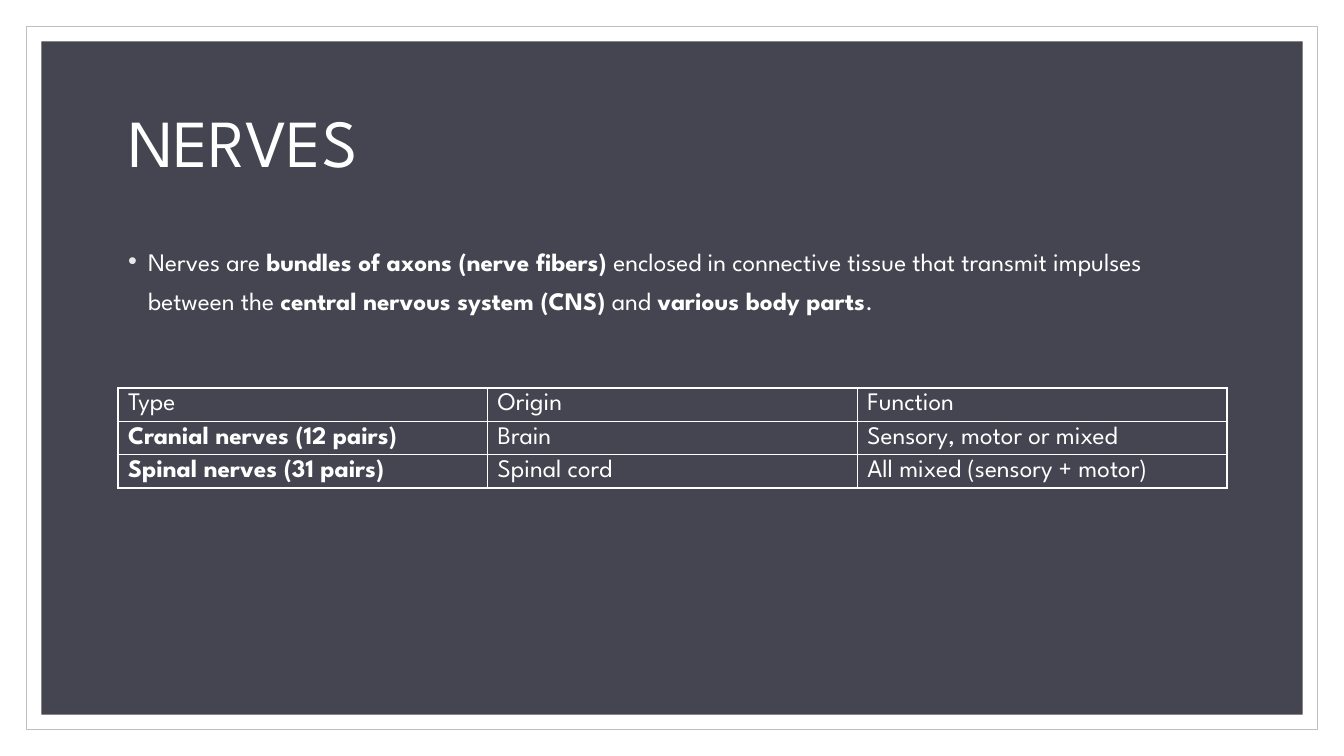
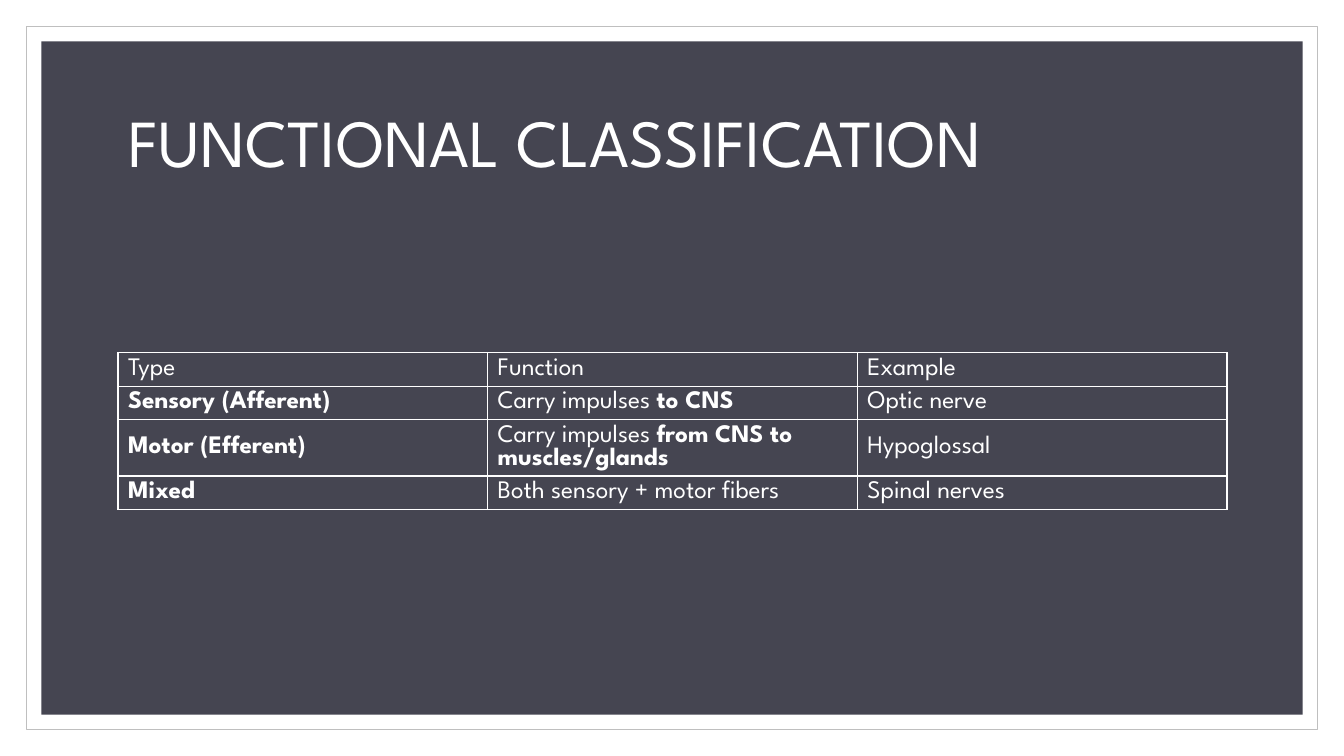
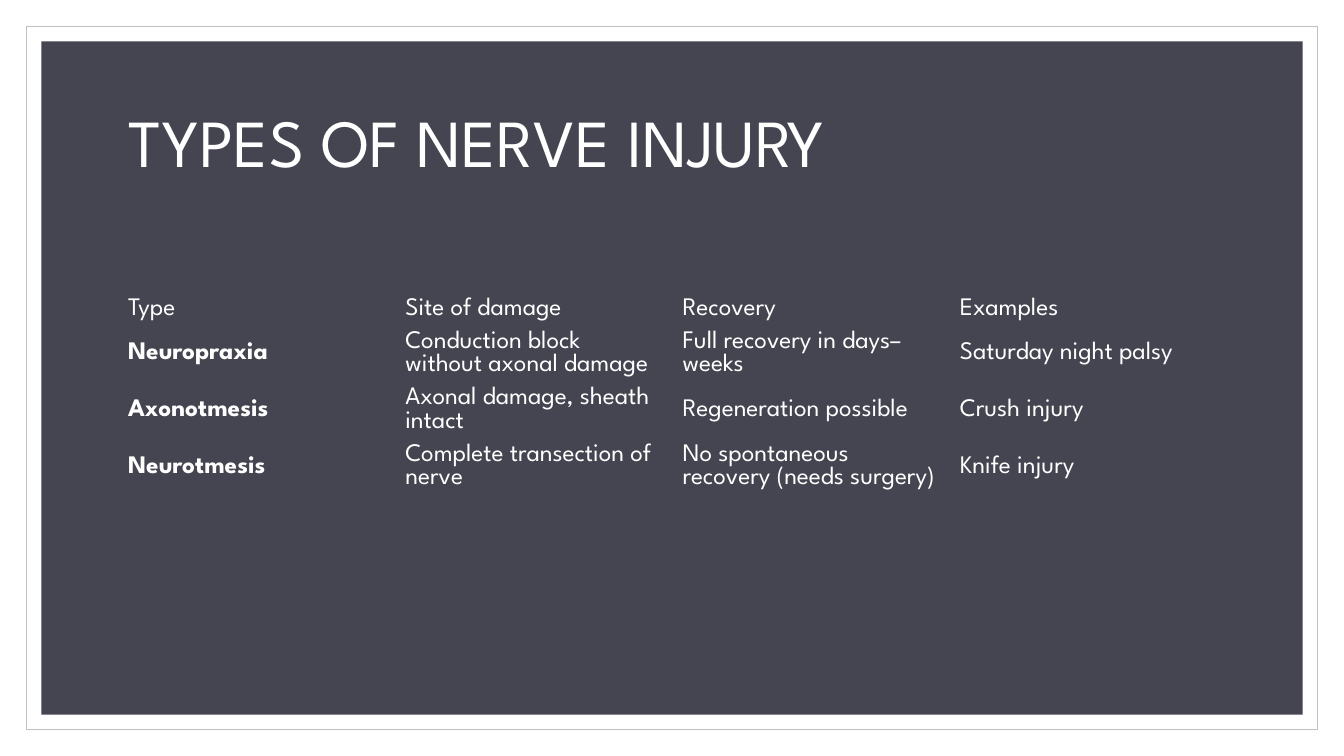
from lxml.etree import SubElement
from pptx import Presentation
from pptx.dml.color import RGBColor
from pptx.enum.shapes import MSO_SHAPE as Preset
from pptx.enum.text import MSO_ANCHOR as Anchor, PP_ALIGN as Align
from pptx.oxml import parse_xml
from pptx.oxml.ns import nsdecls, qn
from pptx.util import Inches, Pt

WHITE = RGBColor(0xFF, 0xFF, 0xFF)
SLATE = RGBColor(0x45, 0x45, 0x51)
FRAME_GREY = RGBColor(0xBF, 0xBF, 0xBF)
BULLET_GREY = RGBColor(0xE8, 0xE8, 0xEA)
FONT = "League Spartan"
NO_GRID_STYLE = "{2D5ABB26-0587-4C30-8999-92F81FD0307C}"
LEFT, WIDTH = 1.17, 11
ONE_LINE, TWO_LINES = 0.33, 0.56

PAGES = [
    {
        "title": "NERVES",
        "body": "Nerves are **bundles of axons (nerve fibers)** enclosed in connective "
                "tissue that transmit impulses between the **central nervous system "
                "(CNS)** and **various body parts**.",
        "top": 3.85,
        "grid": True,
        "heights": [ONE_LINE] * 3,
        "rows": [
            ["Type", "Origin", "Function"],
            ["**Cranial nerves (12 pairs)**", "Brain", "Sensory, motor or mixed"],
            ["**Spinal nerves (31 pairs)**", "Spinal cord", "All mixed (sensory + motor)"],
        ],
    },
    {
        "title": "FUNCTIONAL CLASSIFICATION",
        "body": None,
        "top": 3.5,
        "grid": True,
        "heights": [ONE_LINE, ONE_LINE, TWO_LINES, ONE_LINE],
        "rows": [
            ["Type", "Function", "Example"],
            ["**Sensory (Afferent)**", "Carry impulses **to CNS**", "Optic nerve"],
            ["**Motor (Efferent)**", "Carry impulses **from CNS to muscles/glands**",
             "Hypoglossal"],
            ["**Mixed**", "Both sensory + motor fibers", "Spinal nerves"],
        ],
    },
    {
        "title": "TYPES OF NERVE INJURY",
        "body": None,
        "top": 2.9,
        "grid": False,
        "heights": [ONE_LINE] + [TWO_LINES] * 3,
        "rows": [
            ["Type", "Site of damage", "Recovery", "Examples"],
            ["**Neuropraxia**", "Conduction block without axonal damage",
             "Full recovery in days–weeks", "Saturday night palsy"],
            ["**Axonotmesis**", "Axonal damage, sheath intact",
             "Regeneration possible", "Crush injury"],
            ["**Neurotmesis**", "Complete transection of nerve",
             "No spontaneous recovery (needs surgery)", "Knife injury"],
        ],
    },
]


def write_spans(para, text, size):
    for index, part in enumerate(text.split("**")):
        if part:
            span = para.add_run()
            span.text = part
            values = {"name": FONT, "size": Pt(size), "bold": index % 2 == 1}
            for name, value in values.items():
                setattr(span.font, name, value)
            span.font.color.rgb = WHITE


def add_borders(cell):
    for index, side in enumerate(("lnL", "lnR", "lnT", "lnB")):
        border = parse_xml(
            f'<a:{side} {nsdecls("a")} w="12700"><a:solidFill>'
            f'<a:srgbClr val="{WHITE}"/></a:solidFill></a:{side}>'
        )
        cell._tc.get_or_add_tcPr().insert(index, border)


deck = Presentation()
deck.slide_width, deck.slide_height = Inches(13.33), Inches(7.5)
master = deck.slide_master
title_only, title_and_body = deck.slide_layouts[5], deck.slide_layouts[1]

for box, top, height in zip(master.placeholders, (0.7, 2.3), (1.5, 4.3)):
    place = {"left": LEFT, "top": top, "width": WIDTH, "height": height}
    for name, value in place.items():
        setattr(box, name, Inches(value))

for number, content in enumerate(PAGES):
    page = deck.slides.add_slide(title_and_body if content["body"] else title_only)

    if number == 0:
        for order, (inset, fill, line) in enumerate(
            [(0.26, WHITE, FRAME_GREY), (0.41, SLATE, None)]
        ):
            band = page.shapes.add_shape(
                Preset.RECTANGLE, Inches(inset), Inches(inset),
                Inches(13.33 - 2 * inset), Inches(7.5 - 2 * inset),
            )
            band.shadow.inherit = False
            band.fill.solid()
            band.fill.fore_color.rgb = fill
            if line:
                band.line.color.rgb = line
                band.line.width = Pt(0.5)
            else:
                band.line.fill.background()
            band.element.nvSpPr.cNvPr.set("id", str(100 + order))
            master.shapes.element.insert(2 + order, band.element)

    title = page.shapes.title
    title.text_frame.vertical_anchor = Anchor.MIDDLE
    para = title.text_frame.paragraphs[0]
    para.alignment = Align.LEFT
    para.line_spacing = 0.9
    write_spans(para, content["title"], 48)

    if content["body"]:
        para = page.placeholders[1].text_frame.paragraphs[0]
        para.line_spacing = 1.3
        para.space_before = Pt(9)
        write_spans(para, content["body"], 18)
        settings = para._p.get_or_add_pPr()
        settings.set("marL", str(Inches(0.2)))
        settings.set("indent", str(Inches(-0.2)))
        bullet_color = SubElement(settings, qn("a:buClr"))
        SubElement(bullet_color, qn("a:srgbClr"), val=str(BULLET_GREY))
        SubElement(settings, qn("a:buFont"), typeface="Arial")
        SubElement(settings, qn("a:buChar"), char="•")

    rows, heights = content["rows"], content["heights"]
    table = page.shapes.add_table(
        len(rows), len(rows[0]), Inches(LEFT), Inches(content["top"]),
        Inches(WIDTH), Inches(sum(heights)),
    ).table
    table.first_row = table.horz_banding = False
    table._tbl.tblPr.find(qn("a:tableStyleId")).text = NO_GRID_STYLE
    for row, height, texts in zip(table.rows, heights, rows):
        row.height = Inches(height)
        for cell, text in zip(row.cells, texts):
            cell.vertical_anchor = Anchor.MIDDLE
            cell.fill.background()
            write_spans(cell.text_frame.paragraphs[0], text, 18)
            if content["grid"]:
                add_borders(cell)

deck.save("out.pptx")
